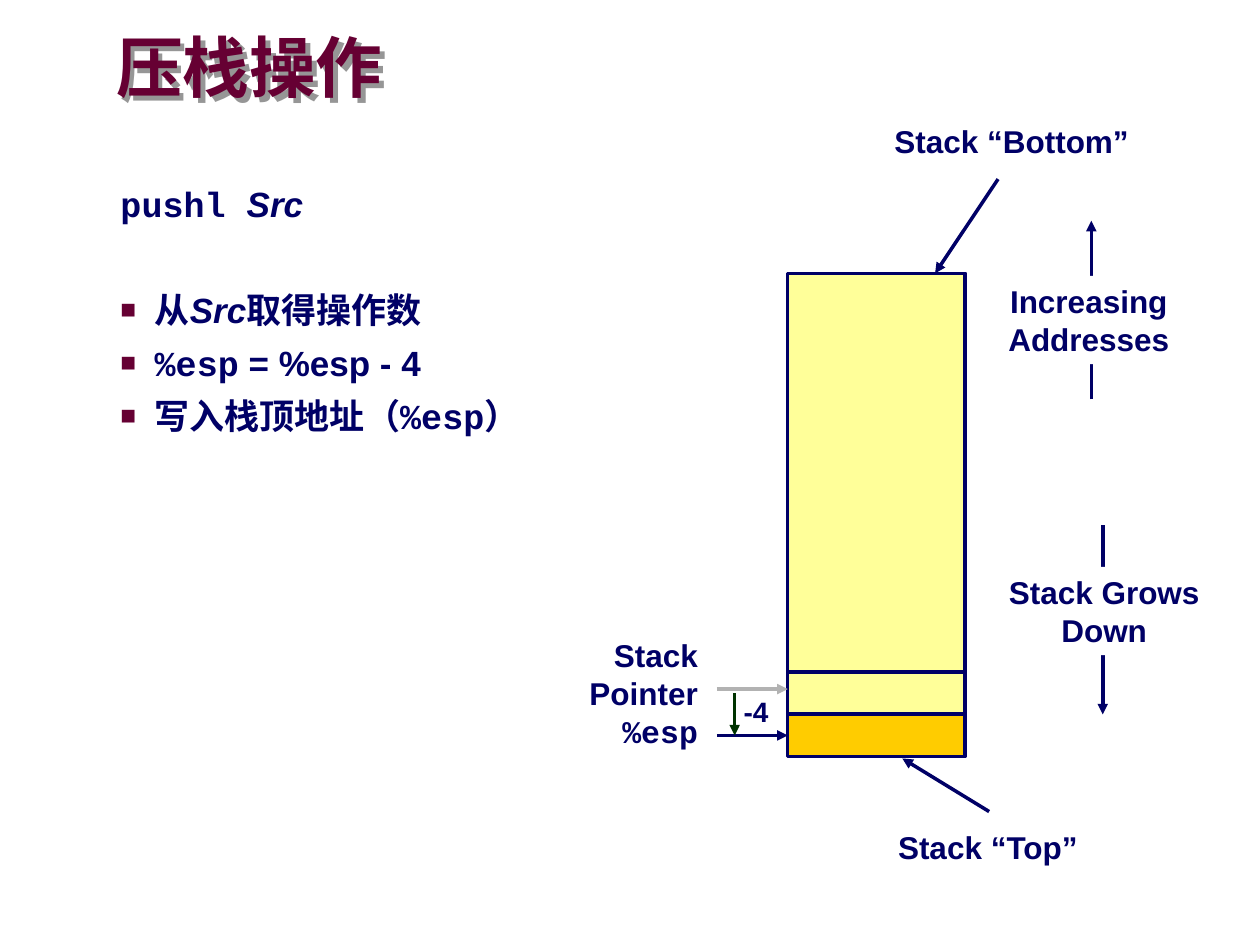
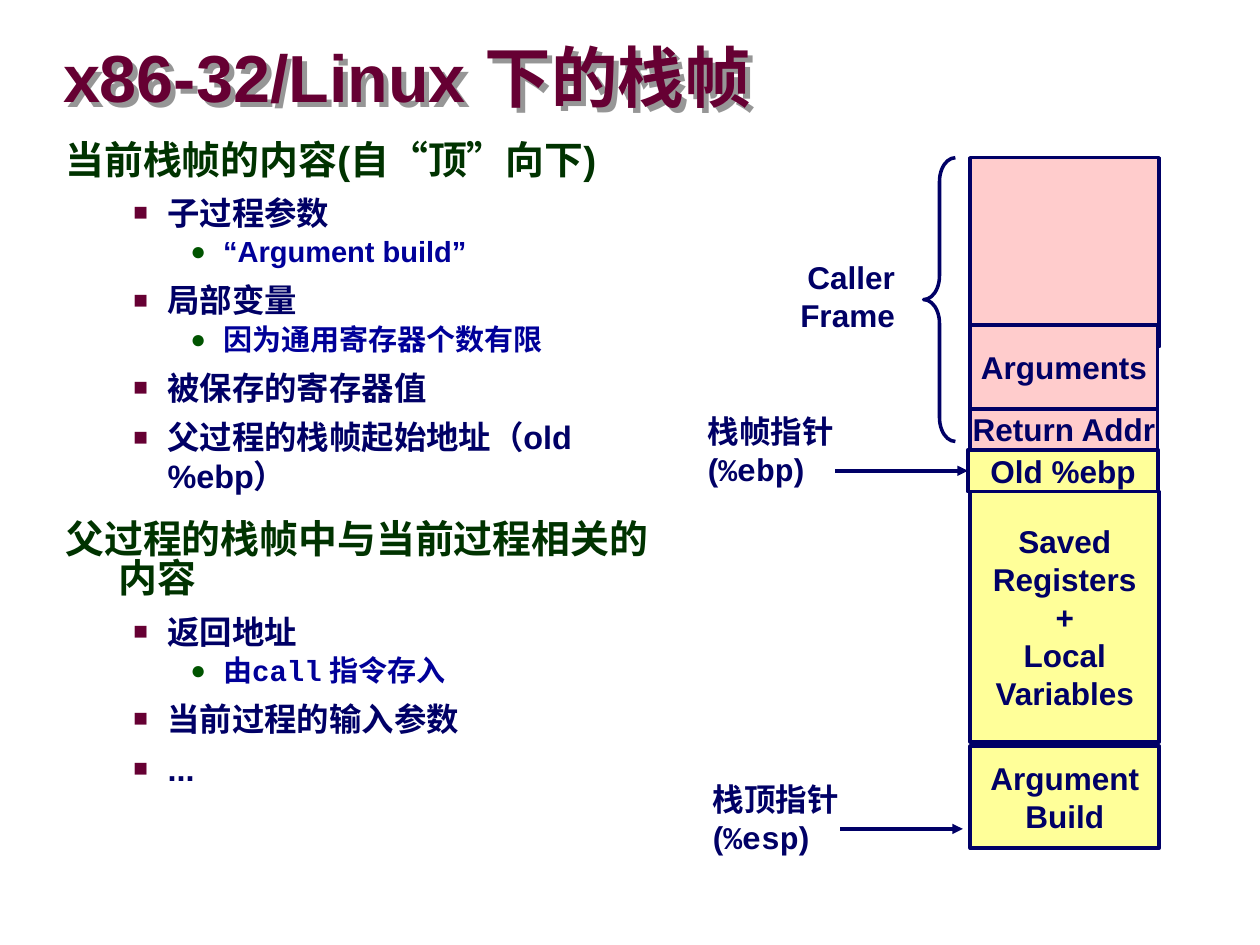
from dataclasses import dataclass
from typing import NamedTuple, Optional

from lxml.etree import SubElement
from pptx import Presentation
from pptx.dml.color import RGBColor
from pptx.enum.shapes import MSO_CONNECTOR, MSO_SHAPE
from pptx.enum.text import MSO_ANCHOR, MSO_AUTO_SIZE, PP_ALIGN
from pptx.oxml import parse_xml
from pptx.oxml.ns import nsdecls, qn
from pptx.shapes.autoshape import Shape
from pptx.shapes.connector import Connector
from pptx.slide import Slide
from pptx.text.text import TextFrame
from pptx.util import Cm, Pt

SANS, MONO = "Arial", "Courier New"
NAVY, MAROON, WHITE = "000066", "660033", "FFFFFF"
DARK_GREEN, GREY = "003300", "B2B2B2"
YELLOW, GOLD, PINK = "FFFF99", "FFCC00", "FFCCCC"
LEFT, CENTER, RIGHT = PP_ALIGN.LEFT, PP_ALIGN.CENTER, PP_ALIGN.RIGHT


class Run(NamedTuple):
    text: str
    font: str = SANS
    italic: bool = False


class Box(NamedTuple):
    left: float
    top: float
    width: float
    height: float

    def lengths(self) -> list[Cm]:
        return [Cm(value) for value in self]


class Level(NamedTuple):
    size: float
    color: str
    margin: float
    hanging: float
    line_spacing: float
    space_before: float
    bullet: str = ""
    bullet_color: str = ""
    bullet_percent: int = 100


@dataclass
class Item:
    level: Level
    runs: list[Run]
    space_before: Optional[float] = None


@dataclass
class Label:
    box: Box
    lines: list[Run]
    align: PP_ALIGN = CENTER
    fill: Optional[str] = None


@dataclass
class Frame:
    box: Box
    fill: str
    lines: tuple[str, ...] = ()


@dataclass
class Line:
    start: tuple[float, float]
    end: tuple[float, float]
    color: str = NAVY
    width: float = 2
    arrow: bool = True


HEADING = Level(22.2, DARK_GREEN, 1.07, 1.07, 0.85, 15)
COMMAND = Level(20, NAVY, 2.06, 0.69, 1, 6.2)
STEP = COMMAND._replace(bullet="■", bullet_color=MAROON, bullet_percent=75)
POINT = STEP._replace(size=18.5)
DETAIL = Level(16.6, "000099", 3.18, 0.66, 0.97, 2.2, "●", "005400", 90)


def rgb(color: str) -> RGBColor:
    return RGBColor.from_string(color)


def add_run(paragraph, run: Run, size: float, color: str) -> None:
    added = paragraph.add_run()
    added.text = run.text
    font = added.font
    font.name, font.size, font.bold = run.font, Pt(size), True
    font.italic = run.italic
    font.color.rgb = rgb(color)


def set_insets(text: TextFrame, sides: float, ends: float) -> None:
    text.margin_left = text.margin_right = Cm(sides)
    text.margin_top = text.margin_bottom = Cm(ends)


def write_lines(text: TextFrame, lines: list[Run], align: PP_ALIGN, size: float = 18) -> None:
    for index, line in enumerate(lines):
        paragraph = text.add_paragraph() if index else text.paragraphs[0]
        paragraph.alignment = align
        add_run(paragraph, line, size, NAVY)


def add_title(slide: Slide, title: str, box: Box) -> None:
    heading = slide.shapes.title
    heading.left, heading.top, heading.width, heading.height = box.lengths()
    heading.fill.background()
    heading._element.spPr.append(parse_xml(
        f'<a:effectLst {nsdecls("a")}><a:outerShdw dist="50800" dir="2700000">'
        '<a:srgbClr val="969696"/></a:outerShdw></a:effectLst>'
    ))
    text = heading.text_frame
    set_insets(text, 0, 0)
    text.word_wrap = True
    text.auto_size = MSO_AUTO_SIZE.NONE
    text.vertical_anchor = MSO_ANCHOR.MIDDLE
    paragraph = text.paragraphs[0]
    paragraph.alignment = LEFT
    paragraph.line_spacing = 0.87
    add_run(paragraph, Run(title), 38, MAROON)


def add_bullet(paragraph, level: Level) -> None:
    properties = paragraph._p.get_or_add_pPr()
    properties.set("marL", str(Cm(level.margin)))
    properties.set("indent", str(-Cm(level.hanging)))
    if level.bullet:
        color = SubElement(properties, qn("a:buClr"))
        SubElement(color, qn("a:srgbClr")).set("val", level.bullet_color)
        SubElement(properties, qn("a:buSzPct")).set("val", str(level.bullet_percent * 1000))
        SubElement(properties, qn("a:buFont")).set("typeface", SANS)
        SubElement(properties, qn("a:buChar")).set("char", level.bullet)


def add_outline(slide: Slide, box: Box, items: list[Item]) -> None:
    text = slide.shapes.add_textbox(*box.lengths()).text_frame
    text.word_wrap = True
    set_insets(text, 0.25, 0.13)
    for index, item in enumerate(items):
        paragraph = text.add_paragraph() if index else text.paragraphs[0]
        level = item.level
        add_bullet(paragraph, level)
        paragraph.line_spacing = level.line_spacing
        if index:
            paragraph.space_before = Pt(item.space_before or level.space_before)
        for run in item.runs:
            add_run(paragraph, run, level.size, level.color)


def add_label(slide: Slide, label: Label) -> None:
    shape = slide.shapes.add_textbox(*label.box.lengths())
    if label.fill:
        shape.fill.solid()
        shape.fill.fore_color.rgb = rgb(label.fill)
    text = shape.text_frame
    text.word_wrap = False
    text.auto_size = MSO_AUTO_SIZE.SHAPE_TO_FIT_TEXT
    set_insets(text, 0.25, 0.13)
    write_lines(text, label.lines, label.align)


def add_frame(slide: Slide, frame: Frame) -> Shape:
    shape = slide.shapes.add_shape(MSO_SHAPE.RECTANGLE, *frame.box.lengths())
    shape.shadow.inherit = False
    shape.fill.solid()
    shape.fill.fore_color.rgb = rgb(frame.fill)
    shape.line.color.rgb = rgb(NAVY)
    shape.line.width = Pt(2)
    text = shape.text_frame
    text.word_wrap = False
    text.vertical_anchor = MSO_ANCHOR.MIDDLE
    set_insets(text, 0.25, 0.13)
    write_lines(text, [Run(line) for line in frame.lines], CENTER)
    return shape


def add_line(slide: Slide, line: Line) -> Connector:
    ends = [Cm(value) for value in line.start + line.end]
    connector = slide.shapes.add_connector(MSO_CONNECTOR.STRAIGHT, *ends)
    connector.line.color.rgb = rgb(line.color)
    connector.line.width = Pt(line.width)
    if line.arrow:
        SubElement(connector.line._get_or_add_ln(), qn("a:tailEnd")).set("type", "triangle")
    SubElement(connector._element.spPr, qn("a:effectLst"))
    return connector


def build_push(slide: Slide) -> None:
    add_title(slide, "压栈操作", Box(2.34, 0.64, 13.77, 1.6))
    add_outline(slide, Box(0.81, 3.55, 12.4, 8), [
        Item(COMMAND, [Run("pushl ", MONO), Run("Src", italic=True)]),
        Item(STEP, [Run("从"), Run("Src", italic=True), Run("取得操作数")], 36.5),
        Item(STEP, [Run("%esp", MONO), Run(" = %esp - 4")]),
        Item(STEP, [Run("写入栈顶地址（"), Run("%esp）", MONO)]),
    ])

    stack_left, stack_width, slot_height = 15.88, 3.58, 0.85
    stack_bottom = 14.4
    old_top = stack_bottom - slot_height
    pointer_left = 14.45
    old_pointer = 13.89
    new_pointer = stack_bottom + slot_height / 2

    add_frame(slide, Frame(Box(stack_left, 5.51, stack_width, 8.89), YELLOW))
    pushed = add_frame(slide, Frame(Box(stack_left, stack_bottom, stack_width, slot_height), GOLD))
    for line in (
        Line((stack_left, old_top), (stack_left + stack_width, old_top), arrow=False),
        Line((pointer_left, old_pointer), (stack_left, old_pointer), GREY),
        Line((22.23, 10.59), (22.23, stack_bottom)),
        Line((22, 8.05), (22, 4.45)),
        Line((19.94, 16.36), (18.19, 15.29)),
        Line((20.12, 3.61), (18.85, 5.51)),
    ):
        add_line(slide, line)
    pointer = add_line(slide, Line((pointer_left, new_pointer), (stack_left, new_pointer)))
    pointer.end_connect(pushed, 1)

    for label in (
        Label(Box(19.84, 11.43, 4.84, 1.78), [Run("Stack Grows"), Run("Down")], fill=WHITE),
        Label(Box(20.07, 5.56, 3.76, 1.78), [Run("Increasing"), Run("Addresses")], fill=WHITE),
        Label(Box(17.83, 16.56, 4.17, 1.02), [Run("Stack “Top”")], fill=WHITE),
        Label(Box(17.78, 2.34, 5.23, 1.02), [Run("Stack “Bottom”")], fill=WHITE),
        Label(Box(11.63, 12.7, 2.69, 2.54),
              [Run("Stack"), Run("Pointer"), Run("%esp", MONO)], RIGHT),
    ):
        add_label(slide, label)

    offset = slide.shapes.add_textbox(*Box(14.86, 13.94, 0.76, 0.86).lengths()).text_frame
    offset.word_wrap = False
    set_insets(offset, 0.13, 0.13)
    write_lines(offset, [Run("-4")], CENTER, 16)
    offset.paragraphs[0].line_spacing = 0.9
    add_line(slide, Line((14.81, 13.97), (14.81, new_pointer), DARK_GREEN, 1.5))


def add_pointer_label(slide: Slide, left: float, top: float, name: str, register: str) -> None:
    label = slide.shapes.add_textbox(*Box(left, top, 3.05, 1.78).lengths()).text_frame
    label.word_wrap = False
    set_insets(label, 0.25, 0.13)
    write_lines(label, [Run(name), Run("(")], LEFT)
    for run in (Run(register, MONO), Run(")")):
        add_run(label.paragraphs[1], run, 18, NAVY)


def build_stack_frame(slide: Slide) -> None:
    add_title(slide, "x86-32/Linux 下的栈帧", Box(1.27, 0.84, 18.75, 1.6))
    add_outline(slide, Box(1.07, 2.74, 12.5, 13.92), [
        Item(HEADING, [Run("当前栈帧的内容(自“顶”向下)")]),
        Item(POINT, [Run("子过程参数")]),
        Item(DETAIL, [Run("“Argument build”")]),
        Item(POINT, [Run("局部变量")]),
        Item(DETAIL, [Run("因为通用寄存器个数有限")]),
        Item(POINT, [Run("被保存的寄存器值")]),
        Item(POINT, [Run("父过程的栈帧起始地址（old %ebp）")]),
        Item(HEADING, [Run("父过程的栈帧中与当前过程相关的内容")]),
        Item(POINT, [Run("返回地址")]),
        Item(DETAIL, [Run("由call", MONO), Run(" 指令存入")]),
        Item(POINT, [Run("当前过程的输入参数")]),
        Item(POINT, [Run("...")]),
    ])

    left, wide, narrow = 19.56, 3.81, 3.78
    for frame in (
        Frame(Box(left, 8.23, narrow, 0.84), PINK, ("Return Addr",)),
        Frame(Box(left, 9.91, wide, 5.05), YELLOW,
              ("Saved", "Registers", "+", "Local", "Variables")),
        Frame(Box(left, 15.04, wide, 2.06), YELLOW, ("Argument", "Build")),
        Frame(Box(left, 3.18, wide, 3.81), PINK),
    ):
        add_frame(slide, frame)
    old_base = add_frame(slide, Frame(Box(19.51, 9.07, 3.84, 0.84), YELLOW, ("Old %ebp",)))
    add_frame(slide, Frame(Box(left, 6.55, narrow, 1.7), PINK, ("Arguments",)))

    add_line(slide, Line((16.94, 16.71), (19.41, 16.71)))
    add_line(slide, Line((16.84, 9.49), (19.51, 9.49))).end_connect(old_base, 1)
    add_pointer_label(slide, 14.12, 15.6, "栈顶指针", "%esp")
    add_pointer_label(slide, 14.02, 8.18, "栈帧指针", "%ebp")
    add_label(slide, Label(Box(15.88, 5.08, 2.41, 1.78), [Run("Caller"), Run("Frame")], RIGHT))

    brace = slide.shapes.add_shape(MSO_SHAPE.LEFT_BRACE, *Box(18.62, 3.18, 0.64, 5.72).lengths())
    brace.shadow.inherit = False
    brace.adjustments[0] = 0.75
    brace.fill.background()
    brace.line.color.rgb = rgb(NAVY)
    brace.line.width = Pt(2)


def main() -> None:
    deck = Presentation()
    deck.slide_width, deck.slide_height = Cm(25.4), Cm(19.05)
    title_only = deck.slide_layouts[5]
    for build in (build_push, build_stack_frame):
        build(deck.slides.add_slide(title_only))
    deck.save("out.pptx")


if __name__ == "__main__":
    main()
